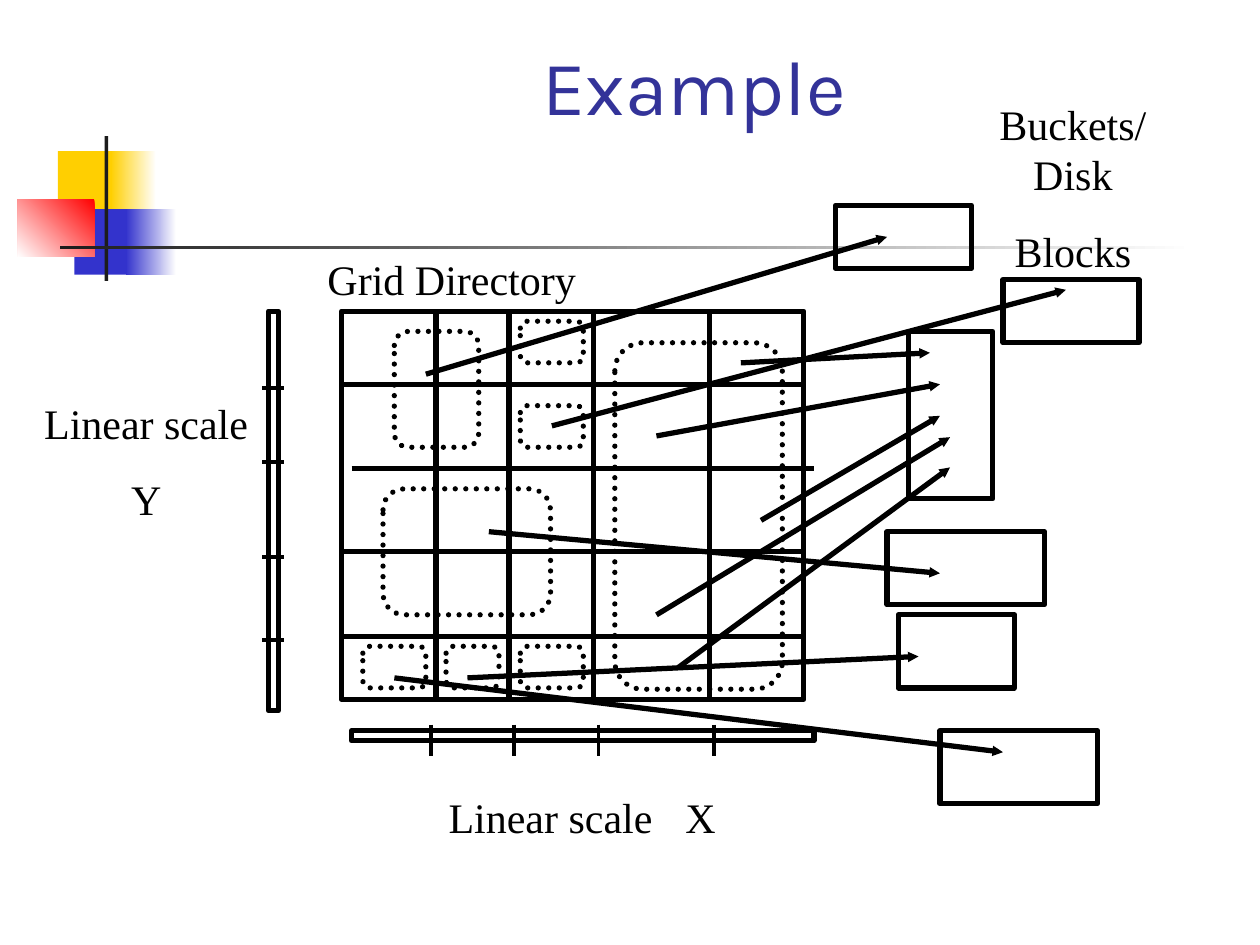
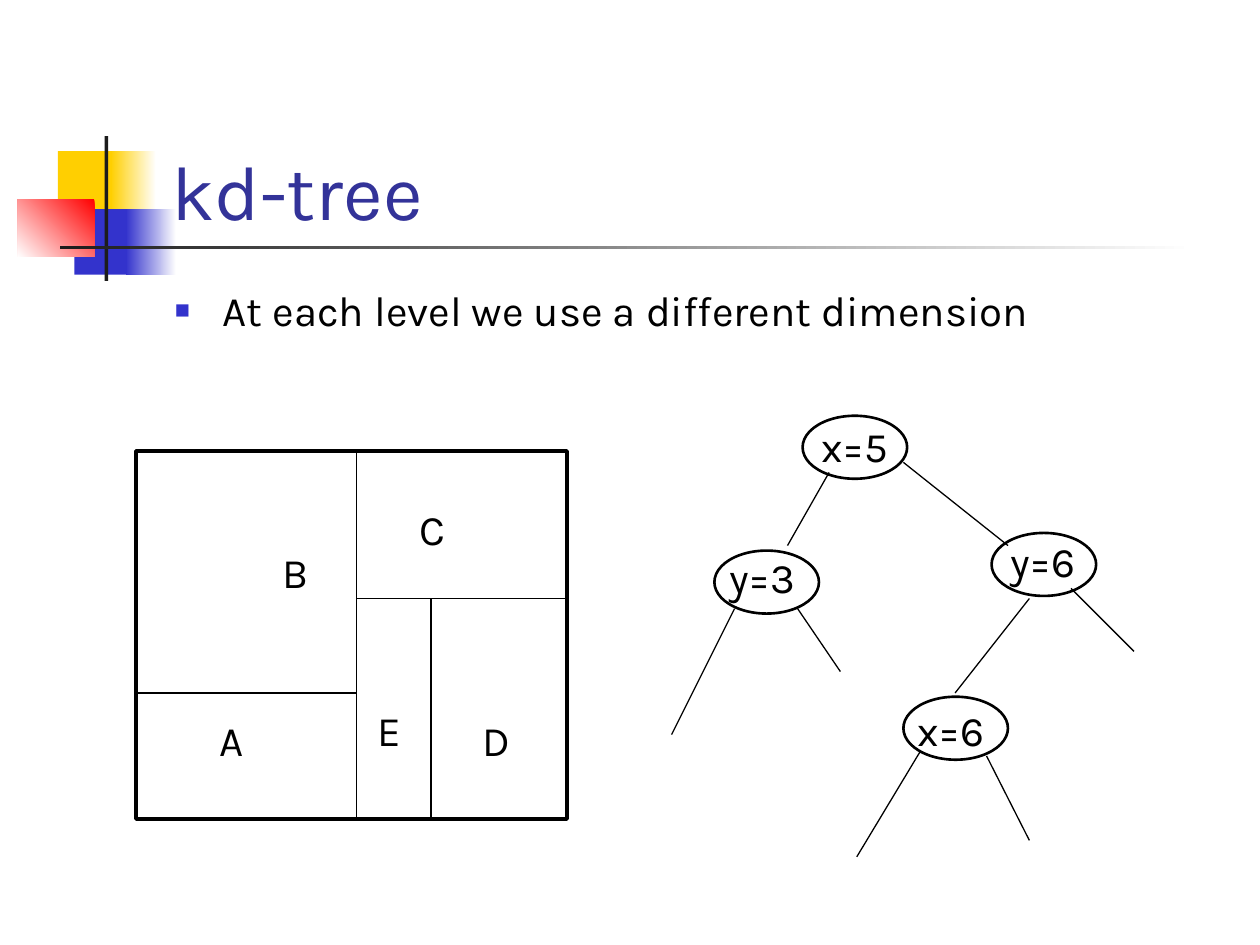
from lxml import etree
from pptx import Presentation
from pptx.dml.color import RGBColor
from pptx.enum.dml import MSO_LINE
from pptx.enum.shapes import MSO_CONNECTOR, MSO_SHAPE
from pptx.enum.text import MSO_ANCHOR, PP_ALIGN
from pptx.oxml.ns import qn
from pptx.util import Inches, Pt

# Shared look
BLACK, WHITE, DARK = "000000", "FFFFFF", "1C1C1C"
YELLOW, BLUE, RED, TITLE_BLUE = "FFCF01", "3333CC", "FF0000", "333399"
SANS, SERIF = "Karla", "Times New Roman"
HEAVY, MEDIUM, NODE, THIN = 3, 2.25, 1.5, 0.75


def color(hex_string):
    return RGBColor.from_string(hex_string)


# Element helpers
def add_outline(slide, kind, box, width):
    shape = slide.shapes.add_shape(kind, *map(Inches, box))
    shape.shadow.inherit = False
    shape.fill.background()
    shape.line.color.rgb = color(BLACK)
    shape.line.width = Pt(width)
    return shape


def add_dotted_region(slide, box):
    shape = add_outline(slide, MSO_SHAPE.ROUNDED_RECTANGLE, box, HEAVY)
    shape.adjustments[0] = 0.167
    shape.line.dash_style = MSO_LINE.ROUND_DOT
    shape.element.spPr.find(qn("a:ln")).set("cap", "rnd")


def add_band(slide, box, start, end=None, angle=180):
    """Add a borderless block, solid or fading from start to end."""
    shape = slide.shapes.add_shape(MSO_SHAPE.RECTANGLE, *map(Inches, box))
    shape.shadow.inherit = False
    shape.line.fill.background()
    if end is None:
        shape.fill.solid()
        shape.fill.fore_color.rgb = color(start)
        return
    shape.fill.gradient()
    shape.fill.gradient_angle = angle
    for stop, stop_color in zip(shape.fill.gradient_stops, (start, end)):
        stop.color.rgb = color(stop_color)


def add_line(slide, x1, y1, x2, y2, width, arrow=False):
    connector = slide.shapes.add_connector(
        MSO_CONNECTOR.STRAIGHT, *map(Inches, (x1, y1, x2, y2)))
    connector.line.color.rgb = color(BLACK)
    connector.line.width = Pt(width)
    properties = connector.element.spPr
    if arrow:
        etree.SubElement(properties.find(qn("a:ln")), qn("a:tailEnd"),
                         type="triangle", w="sm", len="sm")
    etree.SubElement(properties, qn("a:effectLst"))


def add_bullet(paragraph):
    properties = paragraph._p.get_or_add_pPr()
    properties.set("marL", str(Inches(0.38)))
    properties.set("indent", str(Inches(-0.38)))
    bullet_color = etree.SubElement(properties, qn("a:buClr"))
    etree.SubElement(bullet_color, qn("a:srgbClr"), val=BLUE)
    etree.SubElement(properties, qn("a:buSzPct"), val="60000")
    etree.SubElement(properties, qn("a:buFont"), typeface="Arial")
    etree.SubElement(properties, qn("a:buChar"), char="■")


def add_text(slide, box, lines, font=SANS, size=24, text_color=BLACK, wrap=False,
             align=PP_ALIGN.LEFT, anchor=MSO_ANCHOR.TOP, bullet=False):
    frame = slide.shapes.add_textbox(*map(Inches, box)).text_frame
    frame.word_wrap = wrap
    frame.vertical_anchor = anchor
    for index, line in enumerate(lines):
        paragraph = frame.add_paragraph() if index else frame.paragraphs[0]
        if bullet:
            add_bullet(paragraph)
        paragraph.alignment = align
        if index:
            paragraph.space_before = Pt(15)
        run = paragraph.add_run()
        run.text = line
        run.font.name = font
        run.font.size = Pt(size)
        run.font.color.rgb = color(text_color)


def add_title(slide, box, text, align=PP_ALIGN.LEFT):
    add_text(slide, box, [text], size=44, text_color=TITLE_BLUE, wrap=True,
             align=align, anchor=MSO_ANCHOR.BOTTOM)


def add_caption(slide, box, *lines):
    add_text(slide, box, lines, font=SERIF, align=PP_ALIGN.CENTER,
             anchor=MSO_ANCHOR.MIDDLE)


def add_base_slide(presentation):
    slide = presentation.slides.add_slide(presentation.slide_layouts[6])
    add_band(slide, (0.46, 1.2, 0.48, 0.52), YELLOW)
    add_band(slide, (0.88, 1.2, 0.36, 0.52), WHITE, YELLOW)
    add_band(slide, (0.59, 1.66, 0.46, 0.52), BLUE)
    add_band(slide, (1, 1.66, 0.4, 0.52), WHITE, BLUE)
    add_band(slide, (0.14, 1.58, 0.61, 0.46), RED, WHITE, angle=225)
    add_band(slide, (0.83, 1.08, 0.03, 1.15), DARK)
    add_band(slide, (0.48, 1.95, 9, 0.03), WHITE, DARK)
    return slide


# Slide 1: grid file
def build_grid_slide(presentation):
    slide = add_base_slide(presentation)
    add_title(slide, (1.25, 0.5, 8.52, 0.59), "Example", PP_ALIGN.CENTER)

    # Grid directory
    left, top, width, height = 2.71, 2.47, 3.67, 3.08
    add_outline(slide, MSO_SHAPE.RECTANGLE, (left, top, width, height), HEAVY)
    for x in (3.46, 4.04, 4.71, 5.63):
        add_line(slide, x, top, x, top + height, HEAVY)
    for y, shift in ((3.05, 0), (3.72, 0.08), (4.38, 0), (5.05, 0)):
        add_line(slide, left + shift, y, left + shift + width, y, HEAVY)

    # Cells that share a bucket
    for region in ((4.88, 2.72, 1.33, 2.75), (3.04, 3.88, 1.33, 1),
                   (3.13, 2.63, 0.67, 0.92), (2.88, 5.13, 0.5, 0.33),
                   (3.54, 5.13, 0.42, 0.33), (4.13, 5.13, 0.5, 0.33),
                   (4.13, 3.22, 0.5, 0.33), (4.13, 2.55, 0.5, 0.33)):
        add_dotted_region(slide, region)

    # Disk buckets
    for bucket in ((6.63, 1.63, 1.08, 0.5), (7.96, 2.22, 1.08, 0.5),
                   (7.21, 2.63, 0.67, 1.33), (7.04, 4.22, 1.25, 0.58),
                   (7.13, 4.88, 0.92, 0.58), (7.46, 5.8, 1.25, 0.58)):
        add_outline(slide, MSO_SHAPE.RECTANGLE, bucket, HEAVY)

    # Pointers from cells to buckets
    for pointer in ((5.88, 2.88, 7.38, 2.8), (5.21, 3.46, 7.46, 3.05),
                    (6.04, 4.13, 7.46, 3.3), (5.21, 4.88, 7.54, 3.47),
                    (5.38, 5.3, 7.54, 3.71), (3.88, 4.22, 7.46, 4.55),
                    (3.71, 5.38, 7.29, 5.21), (3.38, 2.97, 7.04, 1.88),
                    (4.38, 3.38, 8.46, 2.3), (3.13, 5.38, 7.96, 5.97)):
        add_line(slide, *pointer, HEAVY, arrow=True)

    # Linear scales with their ticks
    add_outline(slide, MSO_SHAPE.RECTANGLE, (2.79, 5.8, 3.67, 0.08), HEAVY)
    add_outline(slide, MSO_SHAPE.RECTANGLE, (2.13, 2.47, 0.08, 3.17), HEAVY)
    for x in (3.42, 4.08, 4.75, 5.67):
        add_line(slide, x, 5.75, x, 6, MEDIUM)
    for y in (3.08, 3.67, 4.42, 5.08):
        add_line(slide, 2.08, y, 2.25, y, MEDIUM)

    # Captions
    add_caption(slide, (3.46, 6.23, 1.82, 0.5), "Linear scale")
    add_caption(slide, (5.34, 6.23, 0.42, 0.5), "X")
    add_caption(slide, (0.25, 3.1, 1.82, 1.11), "Linear scale", "Y")
    add_caption(slide, (2.5, 1.96, 2.17, 0.5), "Grid Directory")
    add_caption(slide, (7.52, 0.93, 1.99, 1.11), "Buckets/Disk", "Blocks")


# Slide 2: kd-tree
def build_tree_slide(presentation):
    slide = add_base_slide(presentation)
    add_title(slide, (1.26, 0.67, 8.52, 1.25), "kd-tree")
    add_text(slide, (1.29, 2.21, 8.5, 4.5),
             ["At each level we use a different dimension"], wrap=True, bullet=True)

    # Partitioned plane
    left, top, right, bottom = 1.08, 3.58, 4.5, 6.5
    split_x, split_y = 2.83, 4.75
    add_outline(slide, MSO_SHAPE.RECTANGLE,
                (left, top, right - left, bottom - top), MEDIUM)
    for split in ((split_x, top, split_x, bottom), (left, 5.5, split_x, 5.5),
                  (split_x, split_y, right, split_y), (3.42, split_y, 3.42, bottom)):
        add_line(slide, *split, THIN)
    for name, x, y in (("A", 1.64, 5.62), ("B", 2.14, 4.29), ("C", 3.23, 3.95),
                       ("D", 3.73, 5.62), ("E", 2.9, 5.54)):
        add_text(slide, (x, y, 0.41, 0.5), [name])

    # Tree nodes: ellipse corner, then label corner
    for name, x, y, label_x, label_y in (
            ("x=5", 6.37, 3.3, 6.42, 3.29), ("y=3", 5.67, 4.37, 5.69, 4.33),
            ("y=6", 7.87, 4.23, 7.92, 4.2), ("x=6", 7.17, 5.53, 7.18, 5.54)):
        add_outline(slide, MSO_SHAPE.OVAL, (x, y, 0.83, 0.5), NODE)
        add_text(slide, (label_x, label_y, 0.76, 0.5), [name])

    # Tree branches
    for branch in ((6.58, 3.75, 6.25, 4.33), (7.17, 3.67, 8, 4.33),
                   (5.83, 4.83, 5.33, 5.83), (6.33, 4.83, 6.67, 5.33),
                   (8.17, 4.75, 7.58, 5.5), (8.5, 4.67, 9, 5.17),
                   (7.3, 5.97, 6.8, 6.8), (7.83, 6, 8.17, 6.67)):
        add_line(slide, *branch, THIN)


def main():
    presentation = Presentation()
    presentation.slide_width = Inches(10)
    presentation.slide_height = Inches(7.5)
    build_grid_slide(presentation)
    build_tree_slide(presentation)
    presentation.save("out.pptx")


if __name__ == "__main__":
    main()
